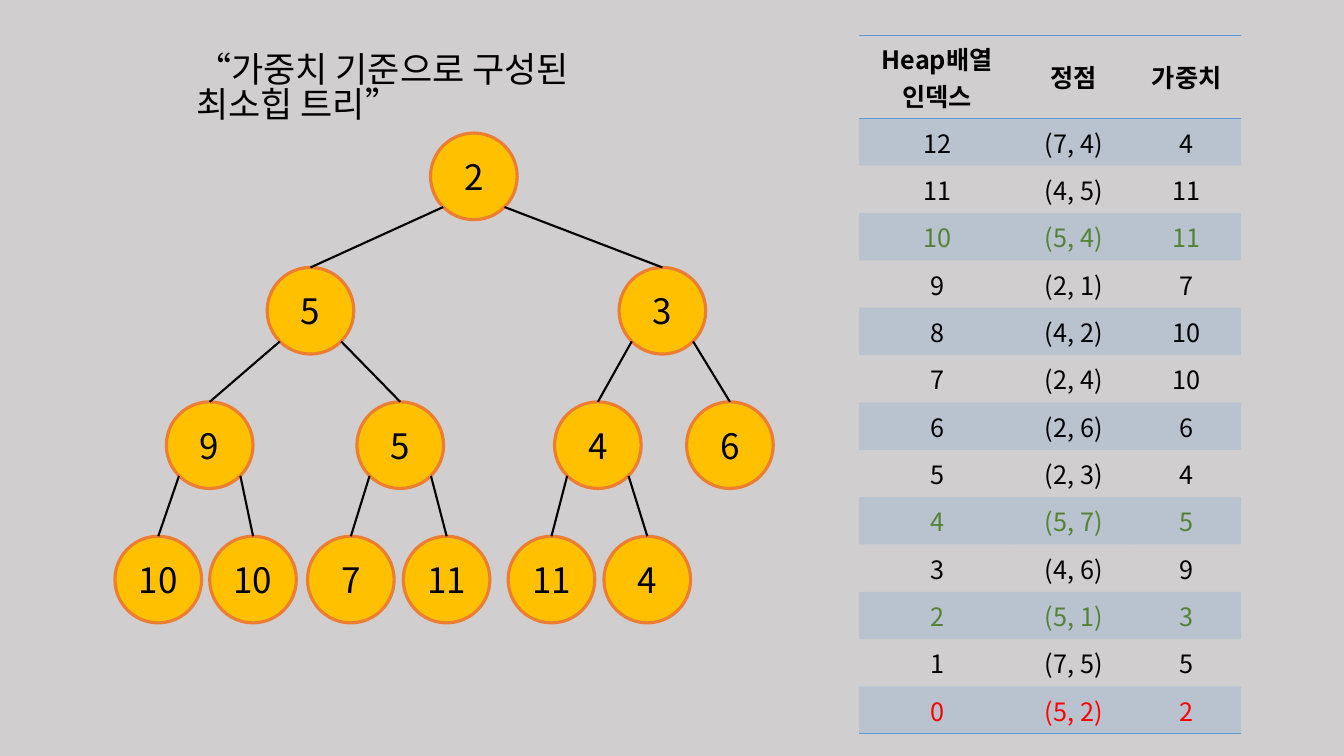
from math import sqrt
from typing import NamedTuple

from lxml.etree import SubElement
from pptx import Presentation
from pptx.dml.color import RGBColor
from pptx.enum.shapes import MSO_CONNECTOR as Line, MSO_SHAPE as Form
from pptx.enum.text import MSO_ANCHOR as Anchor, MSO_AUTO_SIZE as Fit, PP_ALIGN as Align
from pptx.oxml.ns import qn
from pptx.util import Inches, Pt

FONT = "Noto Sans CJK KR"
COLORS = {
    "back": "D0CECE", "black": "000000", "node": "FFC000", "ring": "ED7D31",
    "band": "5B9BD5", "green": "548235", "red": "FF0000",
}
NO_STYLE = "{2D5ABB26-0587-4C30-8999-92F81FD0307C}"
SIZE = 0.86
TOP = 1.32
STEP = 4 / 3
REACH = SIZE / 2 / sqrt(2)


class Entry(NamedTuple):
    """One heap entry: its weight, vertex pair, node's left edge and table colour."""
    weight: int
    vertex: tuple[int, int]
    left: float
    color: str = "black"


HEAP = [
    Entry(2, (5, 2), 4.27, "red"),
    Entry(5, (7, 5), 2.65),
    Entry(3, (5, 1), 6.14, "green"),
    Entry(9, (4, 6), 1.65),
    Entry(5, (5, 7), 3.54, "green"),
    Entry(4, (2, 3), 5.5),
    Entry(6, (2, 6), 6.81),
    Entry(10, (2, 4), 1.14),
    Entry(10, (4, 2), 2.08),
    Entry(7, (2, 1), 3.05),
    Entry(11, (5, 4), 4, "green"),
    Entry(11, (4, 5), 5.04),
    Entry(4, (7, 4), 5.99),
]
HEADS = ["Heap배열\n인덱스", "정점", "가중치"]
WIDTHS = [1.55, 1.16, 1.08]


def rgb(name: str) -> RGBColor:
    """Look up a colour by name."""
    return RGBColor.from_string(COLORS[name])


def style(frame, size: float, align=Align.CENTER, color: str = "black", bold: bool = False) -> None:
    """Format every paragraph of a text frame."""
    for para in frame.paragraphs:
        para.alignment = align
        font = para.font
        font.size, font.bold, font.name = Pt(size), bold, FONT
        font.color.rgb = rgb(color)
        SubElement(para._p.pPr.find(qn("a:defRPr")), qn("a:ea"), typeface=FONT)


def add_title(slide, text: str) -> None:
    """Place the slide title above the tree."""
    title = slide.shapes.title
    title.left, title.top = Inches(1.85), Inches(0.49)
    title.width, title.height = Inches(4.76), Inches(0.52)
    frame = title.text_frame
    frame.text = text
    frame.word_wrap, frame.auto_size = True, Fit.NONE
    frame.vertical_anchor = Anchor.TOP
    style(frame, 25, Align.LEFT)
    frame.paragraphs[0].line_spacing = 0.83


def add_node(slide, index: int, entry: Entry):
    """Draw one tree node on the level given by its heap index."""
    level = (index + 1).bit_length() - 1
    node = slide.shapes.add_shape(
        Form.OVAL, Inches(entry.left), Inches(TOP + level * STEP), Inches(SIZE), Inches(SIZE))
    node.shadow.inherit = False
    node.fill.solid()
    node.fill.fore_color.rgb = rgb("node")
    node.line.color.rgb = rgb("ring")
    node.line.width = Pt(2.25)
    frame = node.text_frame
    frame.text = str(entry.weight)
    frame.word_wrap = False
    frame.vertical_anchor = Anchor.MIDDLE
    style(frame, 25)
    return node


def add_edge(slide, parent, child, side: int) -> None:
    """Join a parent's lower left (-1) or right (1) rim to the top of a child."""
    half = Inches(SIZE / 2)
    edge = slide.shapes.add_connector(
        Line.STRAIGHT,
        parent.left + half + side * Inches(REACH), parent.top + half + Inches(REACH),
        child.left + half, child.top)
    edge.end_connect(child, 0)
    edge.line.color.rgb = rgb("black")
    edge.line.width = Pt(1.5)
    SubElement(edge._element.spPr, qn("a:effectLst"))


def add_tree(slide) -> None:
    """Draw all heap nodes and the edges between them."""
    nodes = [add_node(slide, i, entry) for i, entry in enumerate(HEAP)]
    for i, child in enumerate(nodes[1:], 1):
        add_edge(slide, nodes[(i - 1) // 2], child, 1 if i % 2 == 0 else -1)


def add_rule(cell, tag: str) -> None:
    """Give a cell a one-point border; the tag is lnT or lnB."""
    rule = SubElement(cell._tc.get_or_add_tcPr(), qn(f"a:{tag}"), w=str(Pt(1)))
    fill = SubElement(rule, qn("a:solidFill"))
    SubElement(fill, qn("a:srgbClr"), val=COLORS["band"])


def fill_row(row, texts: list[str], rules: list[str], band: bool,
             color: str = "black", bold: bool = False) -> None:
    """Write and format the cells of one table row."""
    for cell, text in zip(row.cells, texts):
        cell.text = text
        cell.vertical_anchor = Anchor.MIDDLE
        style(cell.text_frame, 18, color=color, bold=bold)
        for tag in rules:
            add_rule(cell, tag)
        if band:
            cell.fill.solid()
            cell.fill.fore_color.rgb = rgb("band")
            tint = cell._tc.tcPr.find(qn("a:solidFill")).find(qn("a:srgbClr"))
            SubElement(tint, qn("a:alpha"), val="20000")
        else:
            cell.fill.background()


def add_grid(slide) -> None:
    """Add the table that lists the heap from its last index to the root."""
    box = slide.shapes.add_table(
        len(HEAP) + 1, len(HEADS), Inches(8.52), Inches(0.35), Inches(3.8), Inches(6.8))
    grid = box.table
    grid.horz_banding = False
    grid._tbl.tblPr.find(qn("a:tableStyleId")).text = NO_STYLE
    for col, width in zip(grid.columns, WIDTHS):
        col.width = Inches(width)
    head, *rows = grid.rows
    head.height = Inches(0.65)
    fill_row(head, HEADS, ["lnT", "lnB"], band=False, bold=True)
    for row, (i, entry) in zip(rows, reversed(list(enumerate(HEAP)))):
        row.height = Inches(0.47)
        texts = [str(i), str(entry.vertex), str(entry.weight)]
        fill_row(row, texts, ["lnB"] if i == 0 else [], i % 2 == 0, entry.color)
    box.height = Inches(6.8)


def main() -> None:
    """Build the slide and save it."""
    deck = Presentation()
    deck.slide_width, deck.slide_height = Inches(13.33), Inches(7.5)
    slide = deck.slides.add_slide(deck.slide_layouts[5])
    slide.background.fill.solid()
    slide.background.fill.fore_color.rgb = rgb("back")
    add_title(slide, "“가중치 기준으로 구성된 최소힙 트리”")
    add_tree(slide)
    add_grid(slide)
    deck.save("out.pptx")


main()
